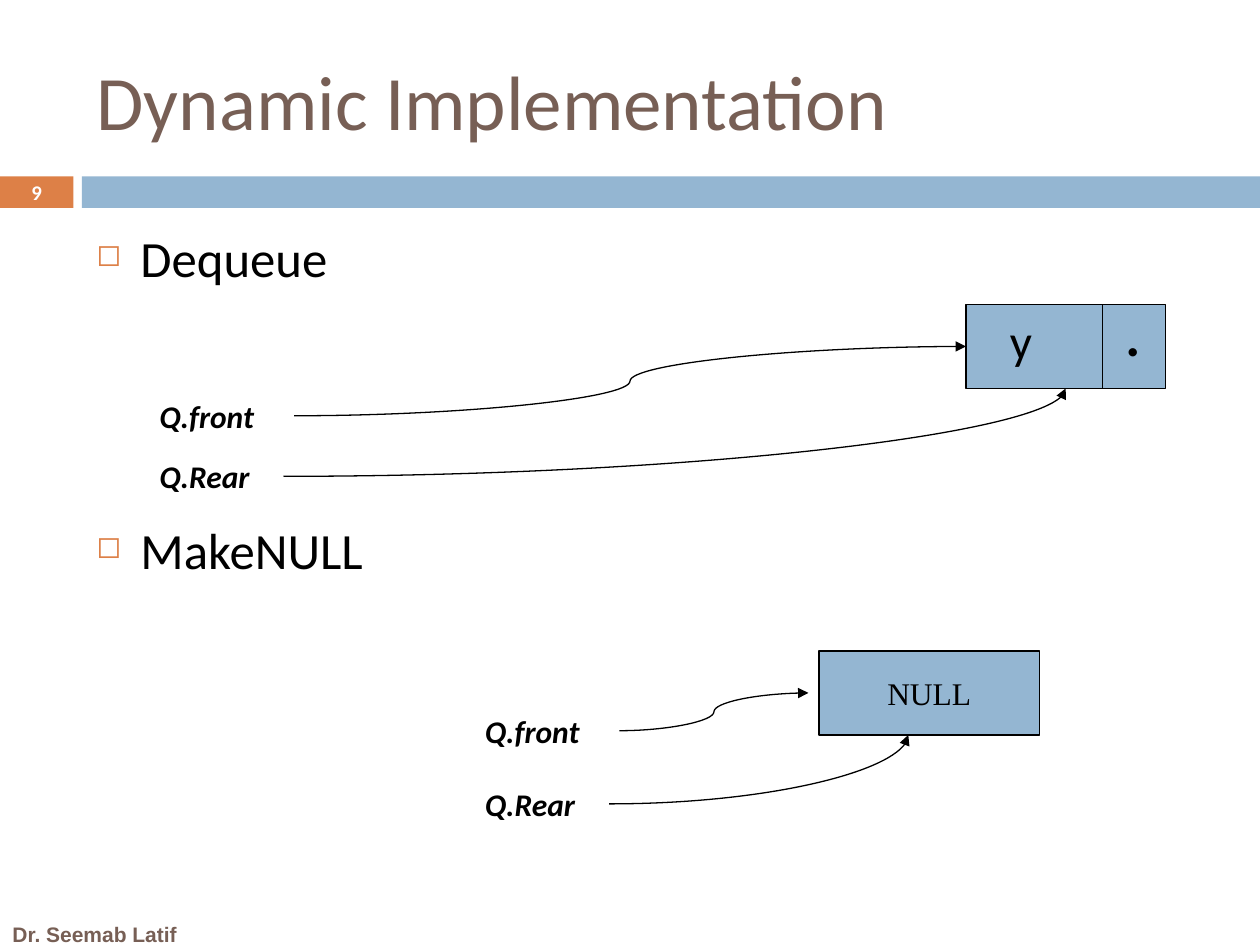
from lxml import etree
from pptx import Presentation
from pptx.dml.color import RGBColor
from pptx.enum import shapes, text
from pptx.oxml.ns import qn
from pptx.util import Pt

THEME = {
    "orange": RGBColor.from_string("DD8047"),
    "blue": RGBColor.from_string("94B6D2"),
    "brown": RGBColor.from_string("775F55"),
    "black": RGBColor.from_string("000000"),
    "white": RGBColor.from_string("FFFFFF"),
    "title": Pt(44), "body": Pt(29), "label": Pt(18), "footer": Pt(12),
    "number": Pt(11.9), "dot": Pt(32), "value": Pt(28), "line": Pt(0.75),
}
MIDDLE, CENTER = text.MSO_ANCHOR.MIDDLE, text.PP_ALIGN.CENTER


def write(sp, words, size, color="black", font="Calibri", anchor=text.MSO_ANCHOR.TOP,
          align=text.PP_ALIGN.LEFT, wrap=True, **style):
    """Fill the text frame of a shape, one paragraph per string."""
    tf = sp.text_frame
    frame = {"word_wrap": wrap, "auto_size": text.MSO_AUTO_SIZE.NONE, "vertical_anchor": anchor}
    for name, value in frame.items():
        setattr(tf, name, value)
    for i, line in enumerate(words):
        p = tf.add_paragraph() if i else tf.paragraphs[0]
        p.alignment = align
        r = p.add_run()
        r.text = line
        for name, value in {"size": THEME[size], "name": font, **style}.items():
            setattr(r.font, name, value)
        r.font.color.rgb = THEME[color]
    return tf


def connect(kind, start, end, preset=None, arrow=True):
    """Draw a thin black connector, by default with an arrowhead at its end."""
    c = s.shapes.add_connector(kind, *map(Pt, start + end))
    c.line.color.rgb = THEME["black"]
    c.line.width = THEME["line"]
    pr = c._element.spPr
    if preset:
        pr.find(qn("a:prstGeom")).set("prst", preset)
    if arrow:
        etree.SubElement(c.line._get_or_add_ln(), qn("a:tailEnd"), type="triangle")
    etree.SubElement(pr, qn("a:effectLst"))


prs = Presentation()
prs.slide_width, prs.slide_height = Pt(720), Pt(540)
s = prs.slides.add_slide(prs.slide_layouts[5])

# Band under the title, and the two node boxes
boxes = []
for area, fill, outlined in [
    ((0, 100.8, 42, 18), "orange", False),
    ((46.8, 100.8, 673.2, 18), "blue", False),
    ((552, 174, 114, 48), "blue", True),
    ((468, 372, 126, 48), "blue", True),
]:
    sp = s.shapes.add_shape(shapes.MSO_SHAPE.RECTANGLE, *map(Pt, area))
    sp.shadow.inherit = False
    sp.fill.solid()
    sp.fill.fore_color.rgb = THEME[fill]
    if outlined:
        sp.line.color.rgb = THEME["black"]
        sp.line.width = THEME["line"]
    else:
        sp.line.fill.background()
    boxes.append(sp)
write(boxes[-1], ["NULL"], "label", font="Times New Roman", anchor=MIDDLE,
      align=CENTER, wrap=False)

# Title
title = s.shapes.title
for name, value in {"left": 48, "top": 18, "width": 642, "height": 78}.items():
    setattr(title, name, Pt(value))
write(title, ["Dynamic Implementation"], "title", "brown", anchor=MIDDLE)

# Bulleted operations
body = s.shapes.add_textbox(*map(Pt, (48, 126, 642, 354)))
tf = write(body, ["Dequeue", "MakeNULL"], "body")
for p in tf.paragraphs:
    pPr = p._p.get_or_add_pPr()
    pPr.set("marL", str(Pt(25.2)))
    pPr.set("indent", str(Pt(-25.2)))
    color = etree.SubElement(pPr, qn("a:buClr"))
    etree.SubElement(color, qn("a:srgbClr"), val=str(THEME["orange"]))
    etree.SubElement(pPr, qn("a:buSzPct"), val="60000")
    etree.SubElement(pPr, qn("a:buChar"), char="◻")
tf.paragraphs[1].space_before = Pt(132)

# Footer, slide number and contents of the y node
for words, area, size, style in [
    ("Dr. Seemab Latif", (0, 522, 132, 23), "footer",
     {"color": "brown", "font": "Arial", "anchor": MIDDLE, "bold": True}),
    ("9", (0, 100, 42, 19.4), "number",
     {"color": "white", "anchor": MIDDLE, "align": CENTER, "bold": True}),
    (".", (636, 168, 24, 45), "dot", {"bold": True}),
    ("y", (570, 174, 24, 41), "value", {}),
]:
    write(s.shapes.add_textbox(*map(Pt, area)), [words], size, **style)
connect(shapes.MSO_CONNECTOR.STRAIGHT, (630, 174), (630, 222), arrow=False)

# Queue pointers: label position, then the arrow's end point
for left, front_top, rear_top, front_end, rear_end in [
    (84, 223.2, 257.8, (552, 198), (609, 222)),
    (270, 403.2, 445, (462, 396), (519, 420)),
]:
    for words, top, width, end, preset in [
        ("Q.front", front_top, 84, front_end, "curvedConnector3"),
        ("Q.Rear", rear_top, 78, rear_end, "curvedConnector2"),
    ]:
        sp = s.shapes.add_textbox(*map(Pt, (left, top, width, 28.8)))
        write(sp, [words], "label", bold=True, italic=True)
        connect(shapes.MSO_CONNECTOR.CURVE, (left + width, top + 14.4), end, preset)

prs.save("out.pptx")
